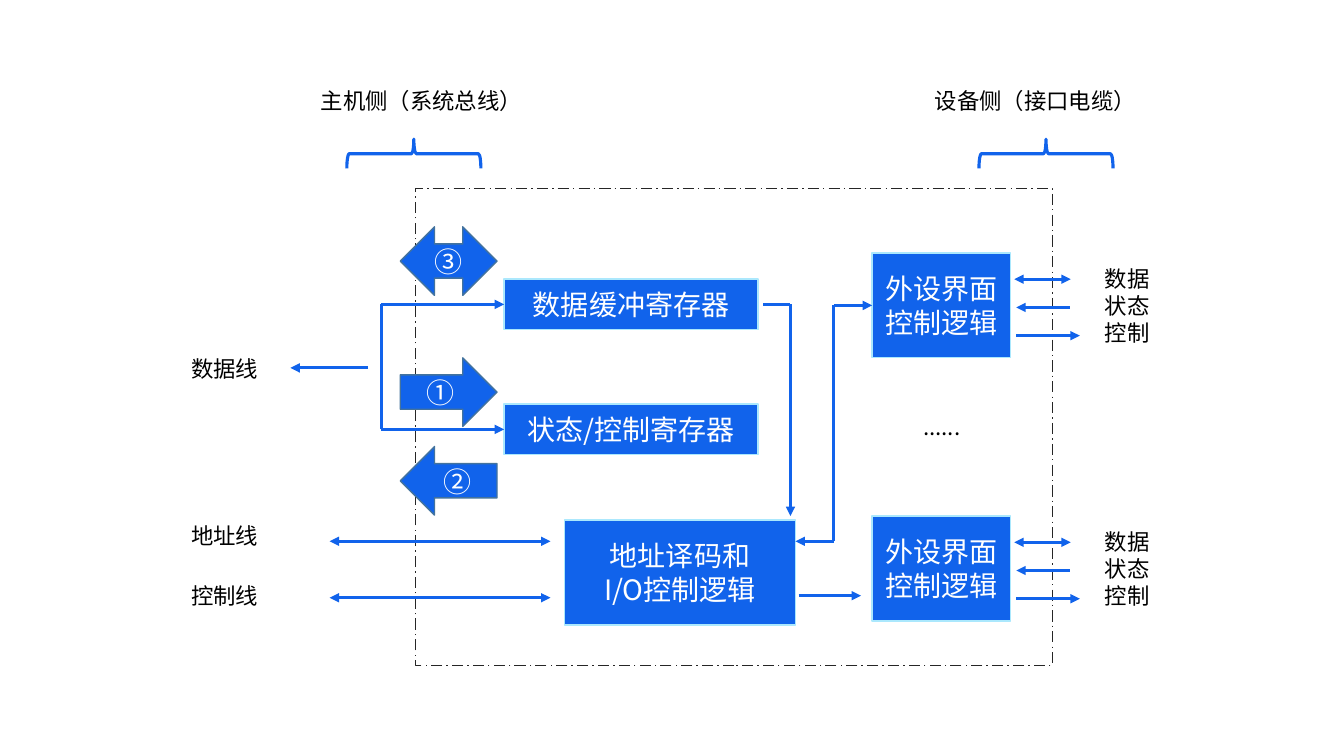
from lxml import etree
from pptx import Presentation
from pptx.dml.color import RGBColor
from pptx.enum import dml, shapes, text
from pptx.oxml import ns
from pptx.util import Inches, Pt

BLUE = RGBColor(0x11, 0x63, 0xEB)
PALE = RGBColor(0xAB, 0xE8, 0xFD)
STEEL = RGBColor(0x43, 0x73, 0x9E)
DARK = RGBColor(0x26, 0x26, 0x26)
WHITE = RGBColor(0xFF, 0xFF, 0xFF)
BLACK = RGBColor(0, 0, 0)
FONT = "Noto Sans CJK SC"
PRESET = shapes.MSO_SHAPE


def write(frame, wording, size, color):
    """Fill a text frame with centred lines, one paragraph each."""
    frame.word_wrap = True
    for index, line in enumerate(wording.split("\n")):
        paragraph = frame.add_paragraph() if index else frame.paragraphs[0]
        paragraph.alignment = text.PP_ALIGN.CENTER
        run = paragraph.add_run()
        run.text = line
        run.font.name, run.font.size = FONT, Pt(size)
        run.font.color.rgb = color
        east_asian = etree.SubElement(run.font._element, ns.qn("a:ea"))
        east_asian.set("typeface", FONT)


def add_label(slide, left, top, width, wording, height=0.37):
    """Add a black text label."""
    label = slide.shapes.add_textbox(*map(Inches, (left, top, width, height)))
    write(label.text_frame, wording, 16, BLACK)


def add_outline(slide, preset, left, top, width, height, color, weight):
    """Add an unfilled preset shape."""
    outline = slide.shapes.add_shape(preset, *map(Inches, (left, top, width, height)))
    outline.shadow.inherit = False
    outline.fill.background()
    outline.line.color.rgb = color
    outline.line.width = Pt(weight)
    return outline


def add_block(slide, left, top, width, height, wording, preset=PRESET.RECTANGLE, edge=PALE):
    """Add a blue shape with white text."""
    block = add_outline(slide, preset, left, top, width, height, edge, 1)
    block.fill.solid()
    block.fill.fore_color.rgb = BLUE
    block.text_frame.vertical_anchor = text.MSO_ANCHOR.MIDDLE
    write(block.text_frame, wording, 20, WHITE)
    return block


def add_wire(slide, x1, y1, x2, y2, ends=("tailEnd",), target=None):
    """Add a signal line with its arrowheads, joined to the left side of a target."""
    wire = slide.shapes.add_connector(
        shapes.MSO_CONNECTOR.STRAIGHT, *map(Inches, (x1, y1, x2, y2)))
    wire.line.color.rgb = BLUE
    wire.line.width = Pt(2.25)
    for end in ends:
        etree.SubElement(wire.line._get_or_add_ln(), ns.qn("a:" + end)).set("type", "triangle")
    etree.SubElement(wire._element.spPr, ns.qn("a:effectLst"))
    if target is not None:
        wire.end_connect(target, 1)


def add_peripheral(slide, top):
    """Add a peripheral interface with its three device signals."""
    interface = add_block(slide, 8.65, top, 1.37, 1.04, "外设界面\n控制逻辑")
    add_wire(slide, 10.06, top + 0.26, 10.62, top + 0.26, BOTH)
    add_wire(slide, 10.61, top + 0.54, 10.08, top + 0.54)
    add_wire(slide, 10.08, top + 0.82, 10.71, top + 0.82)
    add_label(slide, 10.75, top + 0.07, 0.86, "数据\n状态\n控制", 0.91)
    return interface


BOTH = ("headEnd", "tailEnd")


def main():
    """Build the I/O interface diagram."""
    deck = Presentation()
    deck.slide_width, deck.slide_height = Inches(13.33), Inches(7.5)
    slide = deck.slides.add_slide(deck.slide_layouts[6])

    boundary = add_outline(slide, PRESET.RECTANGLE, 4.12, 1.87, 6.32, 4.73, DARK, 1)
    boundary.line.dash_style = dml.MSO_LINE.LONG_DASH_DOT

    for top, register in ((2.77, "数据缓冲寄存器"), (4.01, "状态/控制寄存器")):
        block = add_block(slide, 5, top, 2.52, 0.5, register)
        add_wire(slide, 3.78, top + 0.25, 5, top + 0.25, target=block)
    add_wire(slide, 3.78, 4.26, 3.78, 3.02, ())
    add_wire(slide, 3.65, 3.65, 2.88, 3.65)

    add_block(slide, 5.6, 5.16, 2.29, 1.04, "地址译码和\nI/O控制逻辑")
    for y in (5.37, 5.93):
        add_wire(slide, 3.27, y, 5.46, y, BOTH)
    for top, bus in ((3.47, "数据线"), (5.13, "地址线"), (5.73, "控制线")):
        add_label(slide, 1.72, top, 1.02, bus)

    upper_interface = add_peripheral(slide, 2.51)
    add_peripheral(slide, 5.12)
    add_label(slide, 8.83, 4.05, 1.02, "......")

    add_wire(slide, 7.57, 3.02, 7.84, 3.02, ())
    add_wire(slide, 7.84, 3.02, 7.84, 5.12)
    add_wire(slide, 8.27, 5.37, 7.89, 5.37)
    add_wire(slide, 8.27, 5.37, 8.27, 3.03, ())
    add_wire(slide, 8.27, 3.03, 8.65, 3.03, target=upper_interface)
    add_wire(slide, 7.92, 5.91, 8.54, 5.91)

    for left, heading_left, heading in (
            (3.96, 2.76, "主机侧（系统总线）"), (10.23, 8.85, "设备侧（接口电缆）")):
        brace = add_outline(slide, PRESET.RIGHT_BRACE, left, 0.86, 0.29, 1.33, BLUE, 2.25)
        brace.rotation = 270
        add_label(slide, heading_left, 0.82, 2.84, heading)

    for top, step, preset in (
            (3.55, "①", PRESET.RIGHT_ARROW), (4.43, "②", PRESET.LEFT_ARROW),
            (2.25, "③", PRESET.LEFT_RIGHT_ARROW)):
        add_block(slide, 3.97, top, 0.96, 0.68, step, preset, STEEL)

    deck.save("out.pptx")


if __name__ == "__main__":
    main()
